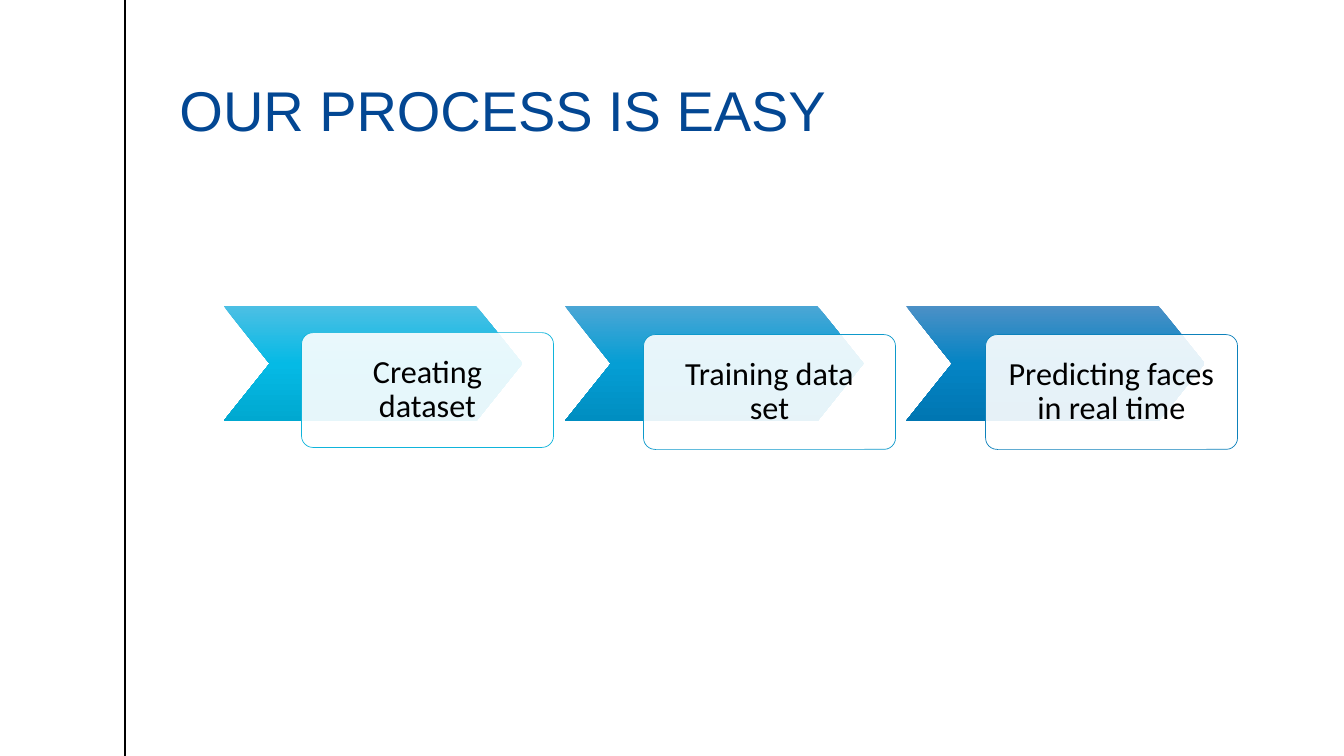
from copy import deepcopy

from lxml import etree
from pptx import Presentation
from pptx.dml.color import RGBColor
from pptx.enum import shapes, text
from pptx.oxml.ns import qn
from pptx.util import Pt

COLORS = {"title": "034793", "ink": "000000", "card": "FFFFFF"}

# label, chevron gradient, card outline, card top
STEPS = [
    ("Creating dataset", ("4CBFE4", "05BAE5", "00A8D0"), "0FB4DB", 237.6),
    ("Training data set", ("4BA6D5", "059ED4", "008EC1"), "0E99CB", 239),
    ("Predicting faces in real time", ("4B90C6", "0484C4", "0076B2"), "0D81BB", 239),
]
CHEVRON_LEFT, CHEVRON_PITCH = 159.8, 243.7
CARD_LEFT, CARD_PITCH = 215.4, 244.3


def rgb(value):
    return RGBColor.from_string(value)


class Deck:
    title_format = {"size": Pt(40), "name": "Arial"}
    label_format = {"size": Pt(23), "name": "Calibri"}

    def __init__(self, width, height):
        self.prs = Presentation()
        self.prs.slide_width, self.prs.slide_height = Pt(width), Pt(height)
        self.s = self.prs.slides.add_slide(self.prs.slide_layouts[6])

    def label(self, sp, content, font_format, color, frame_format, align):
        tf = sp.text_frame
        for name, value in frame_format.items():
            setattr(tf, name, value)
        p = tf.paragraphs[0]
        p.alignment, p.line_spacing = align, 0.9
        r = p.add_run()
        r.text = content
        for name, value in font_format.items():
            setattr(r.font, name, value)
        r.font.color.rgb = rgb(color)

    def title(self, content, *box):
        sp = self.s.shapes.add_textbox(*map(Pt, box))
        frame = {"word_wrap": True, "vertical_anchor": text.MSO_ANCHOR.BOTTOM,
                 "margin_left": 0, "margin_right": 0}
        self.label(sp, content, self.title_format, COLORS["title"], frame,
                   text.PP_ALIGN.LEFT)

    def line(self, x1, y1, x2, y2):
        c = self.s.shapes.add_connector(
            shapes.MSO_CONNECTOR.STRAIGHT, *map(Pt, (x1, y1, x2, y2)))
        c.line.color.rgb = rgb(COLORS["ink"])
        c.line.width = Pt(1)
        etree.SubElement(c._element.spPr, qn("a:effectLst"))

    def shape(self, kind, adjustment, *box):
        sp = self.s.shapes.add_shape(kind, *map(Pt, box))
        sp.shadow.inherit = False
        sp.adjustments[0] = adjustment
        return sp

    def chevron(self, colors, *box):
        sp = self.shape(shapes.MSO_SHAPE.CHEVRON, 0.4, *box)
        sp.line.fill.background()
        sp.fill.gradient()
        sp.fill.gradient_angle = 270
        # Add a middle stop to the default two
        stops = sp._element.spPr.find(".//" + qn("a:gsLst"))
        stops.insert(1, deepcopy(stops[0]))
        for i, (stop, color) in enumerate(zip(sp.fill.gradient_stops, colors)):
            stop.position = i / 2
            stop.color.rgb = rgb(color)

    def card(self, content, outline, *box):
        sp = self.shape(shapes.MSO_SHAPE.ROUNDED_RECTANGLE, 0.1, *box)
        sp.fill.solid()
        sp.fill.fore_color.rgb = rgb(COLORS["card"])
        fill_color = sp._element.spPr.find(qn("a:solidFill"))[0]
        etree.SubElement(fill_color, qn("a:alpha"), val="90000")
        sp.line.color.rgb = rgb(outline)
        sp.line.width = Pt(0.5)
        frame = {"word_wrap": True, "vertical_anchor": text.MSO_ANCHOR.MIDDLE}
        frame.update({f"margin_{side}": Pt(13)
                      for side in ("left", "top", "right", "bottom")})
        self.label(sp, content, self.label_format, COLORS["ink"], frame,
                   text.PP_ALIGN.CENTER)


def main():
    deck = Deck(960, 540)

    # Vertical rule
    deck.line(89.3, 0, 89.3, 540)

    # Process steps
    for i, (label, gradient, outline, card_top) in enumerate(STEPS):
        deck.chevron(gradient, CHEVRON_LEFT + i * CHEVRON_PITCH, 218.7, 213.3, 82)
        deck.card(label, outline, CARD_LEFT + i * CARD_PITCH, card_top, 180, 82)

    # Title
    deck.title("OUR PROCESS IS EASY", 128.2, 26.6, 797.8, 79.2)

    deck.prs.save("out.pptx")


if __name__ == "__main__":
    main()
